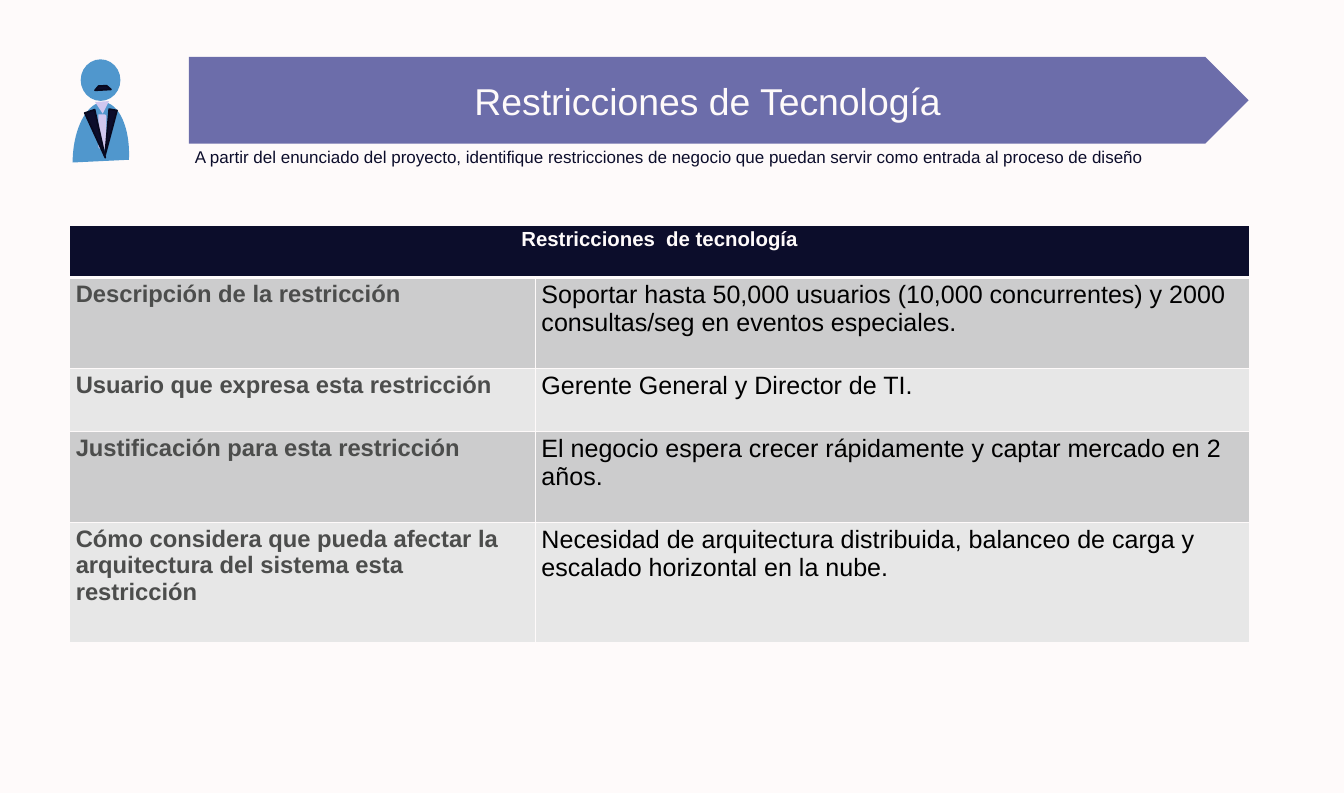
from lxml.etree import SubElement
from pptx import Presentation
from pptx.dml.color import RGBColor
from pptx.enum.shapes import MSO_SHAPE as Preset
from pptx.enum.text import MSO_ANCHOR, PP_ALIGN
from pptx.oxml import parse_xml
from pptx.oxml.ns import qn
from pptx.util import Inches, Pt

BACKGROUND = RGBColor(0xFE, 0xFA, 0xFA)
NAVY = RGBColor(0x0C, 0x0D, 0x2B)
OUTLINE = RGBColor(0x08, 0x09, 0x1F)
SKY = RGBColor(0x50, 0x97, 0xCD)
LILAC = RGBColor(0xD0, 0xC7, 0xEF)
INDIGO = RGBColor(0x25, 0x28, 0x84)
LABEL_GRAY = RGBColor(0x4C, 0x4D, 0x4C)
DARK_BAND = RGBColor(0xCC, 0xCC, 0xCD)
LIGHT_BAND = RGBColor(0xE7, 0xE7, 0xE7)
BLACK = RGBColor(0, 0, 0)
NAMESPACE = "http://schemas.openxmlformats.org/drawingml/2006/main"


def write_text(text_frame, text, size, color, bold=False, align=PP_ALIGN.LEFT):
    text_frame.text = text
    paragraph = text_frame.paragraphs[0]
    paragraph.alignment = align
    font = paragraph.runs[0].font
    font.name = "Arial"
    font.size = Pt(size)
    font.bold = bold
    font.color.rgb = color


def style_cell(cell, fill, top=0.96, bottom=0.96):
    cell.fill.solid()
    cell.fill.fore_color.rgb = fill
    properties = cell._tc.get_or_add_tcPr()
    widths = {"lnL": 0.96, "lnR": 0.96, "lnT": top, "lnB": bottom}
    for position, (side, width) in enumerate(widths.items()):
        border = parse_xml(
            f'<a:{side} xmlns:a="{NAMESPACE}" w="{Pt(width)}"><a:solidFill>'
            f'<a:srgbClr val="{BACKGROUND}"/></a:solidFill></a:{side}>'
        )
        properties.insert(position, border)


presentation = Presentation()
presentation.slide_width = Inches(21.99)
presentation.slide_height = Inches(12.97)
slide = presentation.slides.add_slide(presentation.slide_layouts[6])
slide.background.fill.solid()
slide.background.fill.fore_color.rgb = BACKGROUND

person_parts = [
    (Preset.OVAL, (1.32, 0.97, 0.65, 0.68), 0, SKY, ()),
    (Preset.CHORD, (0.73, 2.13, 1.84, 0.92), 92.9, SKY, (47.22, 162)),
    (Preset.ISOSCELES_TRIANGLE, (1.56, 1.66, 0.23, 0.2), 176.4, LILAC, ()),
    (Preset.SNIP_2_DIAG_RECTANGLE, (1.61, 1.87, 0.13, 0.56), 0, LILAC, ()),
    (Preset.ISOSCELES_TRIANGLE, (1.51, 1.8, 0.17, 0.8), 161.4, NAVY, ()),
    (Preset.ISOSCELES_TRIANGLE, (1.72, 1.79, 0.13, 0.75), 190, NAVY, ()),
    (Preset.DIAGONAL_STRIPE, (1.59, 1.38, 0.19, 0.18), 40.4, NAVY, ()),
]
person = slide.shapes.add_group_shape()
for preset, box, rotation, color, adjustments in person_parts:
    shape = person.shapes.add_shape(preset, *map(Inches, box))
    shape.rotation = rotation
    shape.shadow.inherit = False
    shape.fill.solid()
    shape.fill.fore_color.rgb = color
    for index, value in enumerate(adjustments):
        shape.adjustments[index] = value
    if color == NAVY:
        shape.line.color.rgb = OUTLINE
        shape.line.width = Pt(2)
    else:
        shape.line.fill.background()

restrictions = [
    ("Descripción de la restricción",
     "Soportar hasta 50,000 usuarios (10,000 concurrentes) y 2000 consultas/seg en eventos especiales."),
    ("Usuario que expresa esta restricción",
     "Gerente General y Director de TI."),
    ("Justificación para esta restricción",
     "El negocio espera crecer rápidamente y captar mercado en 2 años."),
    ("Cómo considera que pueda afectar la arquitectura del sistema esta restricción",
     "Necesidad de arquitectura distribuida, balanceo de carga y escalado horizontal en la nube."),
]
column_widths = [7.62, 11.68]
row_heights = [0.86, 1.49, 1.03, 1.49, 1.95]
table = slide.shapes.add_table(
    len(row_heights), len(column_widths), Inches(1.14), Inches(3.68),
    Inches(sum(column_widths)), Inches(sum(row_heights)),
).table
table.horz_banding = False
for column, width in zip(table.columns, column_widths):
    column.width = Inches(width)
for row, height in zip(table.rows, row_heights):
    row.height = Inches(height)

header = table.cell(0, 0)
header.merge(table.cell(0, 1))
style_cell(header, NAVY, bottom=3)
write_text(header.text_frame, "Restricciones  de tecnología", 24, BACKGROUND, True, PP_ALIGN.CENTER)

for row_index, (label, answer) in enumerate(restrictions, start=1):
    label_cell, answer_cell = table.rows[row_index].cells
    for cell in (label_cell, answer_cell):
        style_cell(cell, DARK_BAND if row_index % 2 else LIGHT_BAND, top=3 if row_index == 1 else 0.96)
    write_text(label_cell.text_frame, label, 28, LABEL_GRAY, True)
    write_text(answer_cell.text_frame, answer, 29.5, BLACK)

banner = slide.shapes.add_shape(Preset.PENTAGON, Inches(3.09), Inches(0.93), Inches(17.34), Inches(1.42))
banner.shadow.inherit = False
banner.fill.solid()
banner.fill.fore_color.rgb = INDIGO
banner_color = banner._element.spPr.find(qn("a:solidFill")).find(qn("a:srgbClr"))
SubElement(banner_color, qn("a:alpha"), val="67000")
banner.line.fill.background()
banner.text_frame.vertical_anchor = MSO_ANCHOR.MIDDLE
write_text(banner.text_frame, "Restricciones de Tecnología", 44, BACKGROUND, align=PP_ALIGN.CENTER)

instruction = slide.shapes.add_textbox(Inches(3.09), Inches(2.34), Inches(17.28), Inches(0.43))
instruction.text_frame.word_wrap = True
write_text(
    instruction.text_frame,
    "A partir del enunciado del proyecto, identifique restricciones de negocio "
    "que puedan servir como entrada al proceso de diseño",
    20, NAVY,
)

presentation.save("out.pptx")
